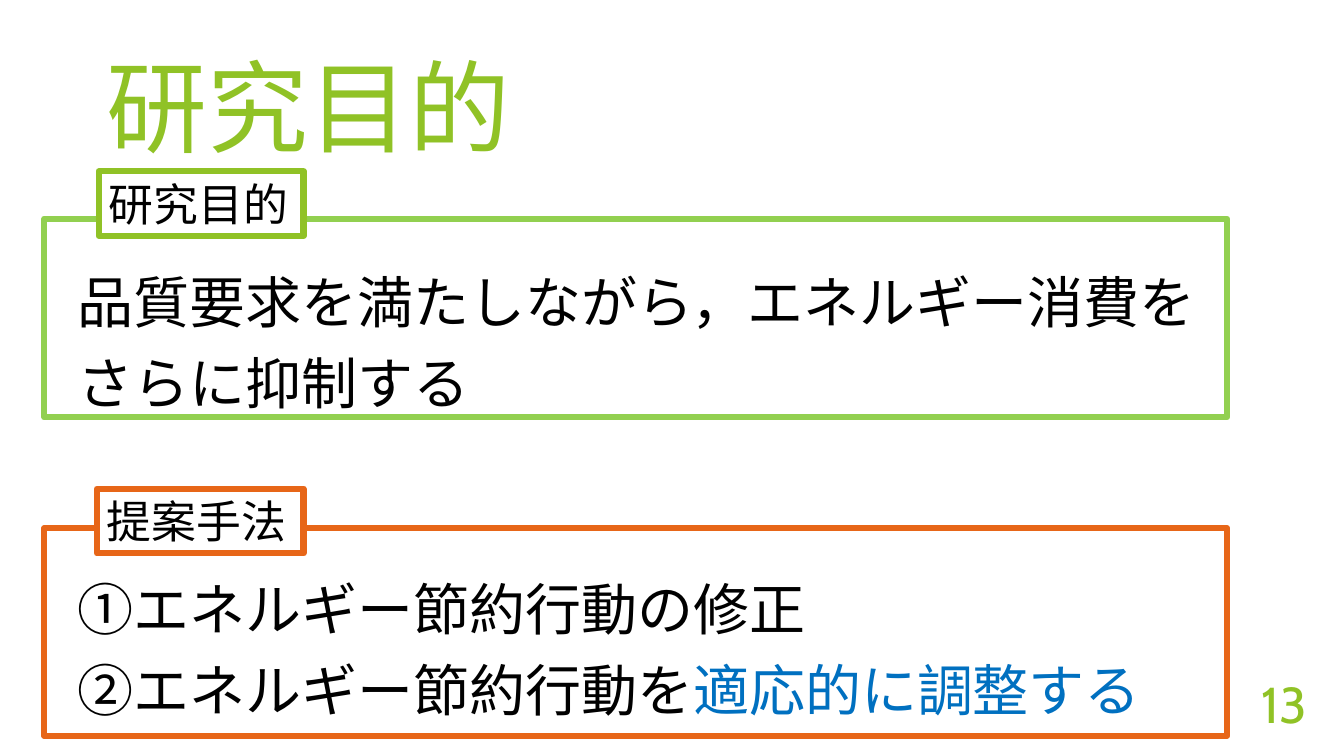
import pptx
import pptx.dml.color
import pptx.enum.shapes
import pptx.enum.text
import pptx.util
from lxml import etree

PX = 9144  # 100 px to the inch
FONT = "Cabin"
BLACK, WHITE, BLUE = "000000", "FFFFFF", "0070C0"
GREEN, LIGHT_GREEN, ORANGE = "90C226", "92D050", "E76618"
ALIGN = pptx.enum.text.PP_ALIGN
ANCHOR = pptx.enum.text.MSO_ANCHOR


def px(length):
    return pptx.util.Emu(length * PX)


def color(hex_string):
    return pptx.dml.color.RGBColor.from_string(hex_string)


def place(shape, box):
    shape.left, shape.top, shape.width, shape.height = map(px, box)


def write(shape, paragraphs, size, ink=BLACK, align=ALIGN.LEFT,
          anchor=ANCHOR.TOP, inset=5, space_before=0):
    """Fill a shape with paragraphs, each a list of (text, colour or None) runs."""
    frame = shape.text_frame
    frame.word_wrap = True
    frame.auto_size = pptx.enum.text.MSO_AUTO_SIZE.NONE
    frame.vertical_anchor = anchor
    frame.margin_left = frame.margin_right = px(10)
    frame.margin_top = frame.margin_bottom = px(inset)
    for index, runs in enumerate(paragraphs):
        paragraph = frame.paragraphs[0] if index == 0 else frame.add_paragraph()
        paragraph.alignment = align
        paragraph.space_before = pptx.util.Pt(space_before)
        properties = paragraph._p.get_or_add_pPr()
        properties.set("marL", "0")
        properties.set("indent", "0")
        etree.SubElement(properties, pptx.oxml.ns.qn("a:buNone"))
        for text, run_ink in runs:
            run = paragraph.add_run()
            run.text = text
            run.font.size = pptx.util.Pt(size)
            run.font.name = FONT
            run.font.color.rgb = color(run_ink or ink)
            east_asian = etree.SubElement(run._r.get_or_add_rPr(), pptx.oxml.ns.qn("a:ea"))
            east_asian.set("typeface", FONT)


def add_frame(slide, box, line, fill=None):
    shape = slide.shapes.add_shape(pptx.enum.shapes.MSO_SHAPE.RECTANGLE, *map(px, box))
    shape.shadow.inherit = False
    if fill:
        shape.fill.solid()
        shape.fill.fore_color.rgb = color(fill)
    else:
        shape.fill.background()
    shape.line.color.rgb = color(line)
    shape.line.width = pptx.util.Pt(4.5)
    return shape


def add_panel(slide, body, box, label, label_box, lines, body_top, line, label_line):
    """Draw a framed panel; label_box and body_top are relative to the panel."""
    left, top, width, height = box
    place(body, (left + 23, top + body_top, width - 23, height - body_top))
    write(body, lines, 40, inset=0, space_before=10)
    add_frame(slide, box, line)
    label_left, label_top, label_width, label_height = label_box
    tag = add_frame(slide, (left + label_left, top + label_top, label_width, label_height),
                    label_line, WHITE)
    write(tag, [[(label, None)]], 32)


def add_heading(slide, box):
    place(slide.shapes.title, box)
    write(slide.shapes.title, [[("研究目的", None)]], 72, GREEN)


def add_page_number(slide, box):
    number = slide.shapes.add_textbox(*map(px, box))
    write(number, [[("13", None)]], 36, GREEN, ALIGN.RIGHT, ANCHOR.MIDDLE)


def main():
    presentation = pptx.Presentation()
    presentation.slide_width, presentation.slide_height = px(1333), px(750)
    slide = presentation.slides.add_slide(presentation.slide_layouts.get_by_name("Two Content"))
    purpose, method = slide.placeholders[1], slide.placeholders[2]

    add_heading(slide, (96, 39, 1237, 168))
    add_panel(slide, purpose, (44, 217, 1173, 197), "研究目的", (54, -47, 203, 64),
              [[("品質要求を満たしながら，エネルギー消費を", None)],
               [("さらに抑制する", None)]],
              48, LIGHT_GREEN, GREEN)
    add_panel(slide, method, (44, 524, 1173, 206), "提案手法", (52, -39, 205, 64),
              [[("①エネルギー節約行動の修正", None)],
               [("②エネルギー節約行動を", None), ("適応的に調整する", BLUE)]],
              46, ORANGE, ORANGE)
    add_page_number(slide, (1213, 666, 93, 64))
    presentation.save("out.pptx")


if __name__ == "__main__":
    main()
